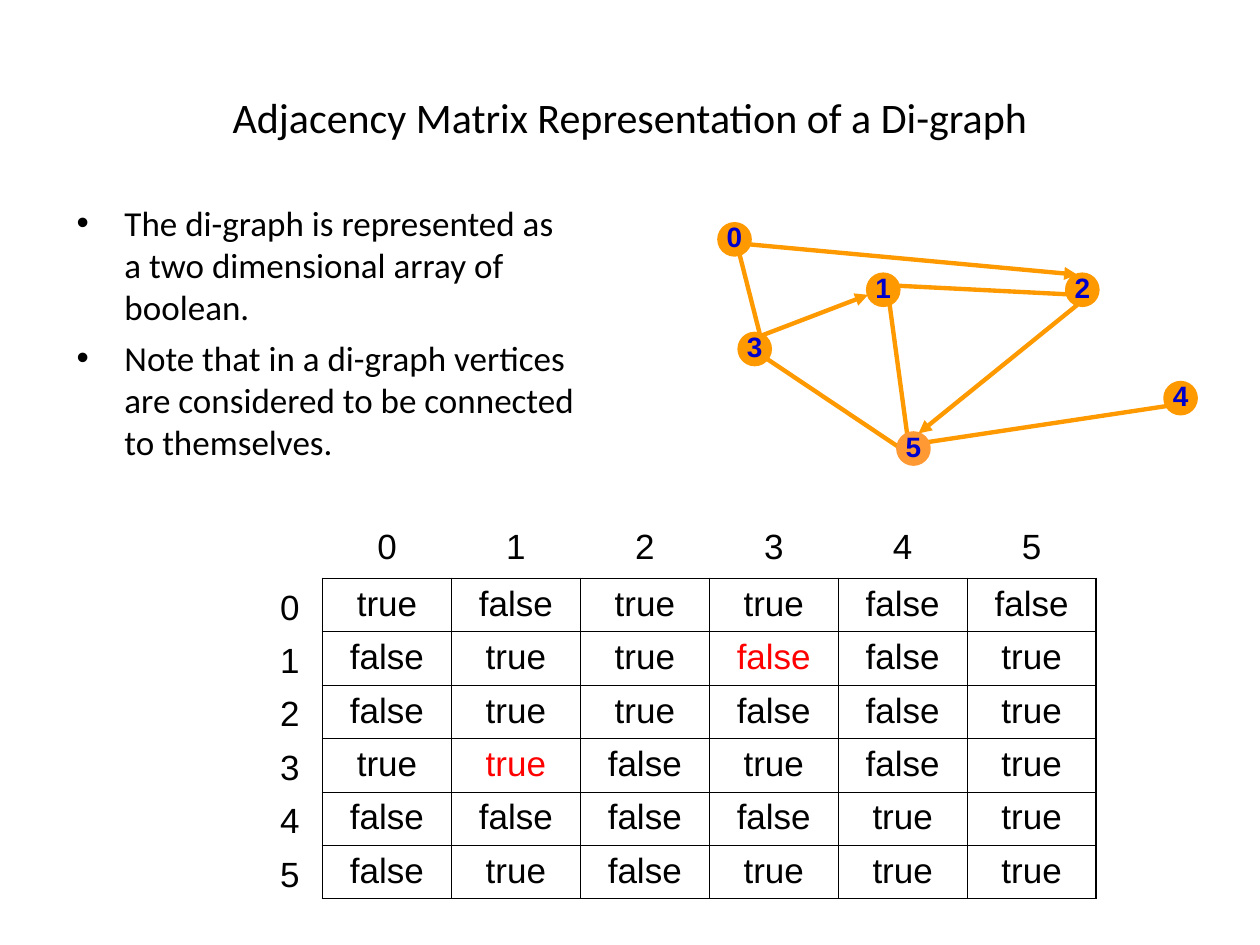
from pptx import Presentation
from pptx.dml.color import RGBColor
from pptx.enum.shapes import MSO_CONNECTOR, MSO_SHAPE
from pptx.enum.text import MSO_ANCHOR, PP_ALIGN
from pptx.oxml import parse_xml
from pptx.oxml.ns import nsdecls, qn
from pptx.util import Inches, Pt
from lxml.etree import SubElement

THEME = {
    "black": "000000", "red": "FF0000", "label": "0000CC",
    "orange": "FF9900", "light_orange": "FF9933",
    "heading_font": "Calibri", "data_font": "Arial",
    "title_size": 24, "body_size": 20, "node_size": 16,
    "edge_width": 2.5, "outer_border": 1.08, "inner_border": 0.45,
}

TITLE = "Adjacency Matrix Representation of a Di-graph"
BULLETS = [
    "The di-graph is represented as a two dimensional array of boolean.",
    "Note that in a di-graph vertices are considered to be connected to themselves.",
]
VERTICES = ["0", "1", "2", "3", "4", "5"]
MATRIX = [
    ["true", "false", "true", "true", "false", "false"],
    ["false", "true", "true", "false", "false", "true"],
    ["false", "true", "true", "false", "false", "true"],
    ["true", "true", "false", "true", "false", "true"],
    ["false", "false", "false", "false", "true", "true"],
    ["false", "true", "false", "true", "true", "true"],
]
HIGHLIGHTED = {(1, 3), (3, 1)}

NODE_SIZE = 0.24
NODES = {  # vertex: left, top, colour
    "3": (5.87, 2.65, "orange"),
    "1": (6.89, 2.18, "orange"),
    "4": (9.25, 3.04, "orange"),
    "2": (8.47, 2.18, "orange"),
    "5": (7.13, 3.44, "light_orange"),
    "0": (5.71, 1.78, "orange"),
}
# start vertex, its anchor, end vertex, its anchor, directed;
# an anchor counts thirds of the node from its top left corner
EDGES_BEHIND = [
    ("2", (1, 3), "5", (2, 0), True),
    ("3", (2, 2), "5", (1, 2), False),
    ("1", (2, 2), "5", (1, 1), False),
    ("5", (2, 1), "4", (2, 2), False),
    ("1", (1, 1), "2", (1, 2), False),
    ("3", (0, 1), "1", (0, 2), True),
]
EDGES_IN_FRONT = [
    ("0", (3, 2), "2", (1, 0), True),
    ("0", (2, 3), "3", (2, 0), False),
]

COLUMN_WIDTH, ROW_HEIGHT = 6.14 / 6, 0.33


def color(name):
    return RGBColor.from_string(THEME[name])


def write(paragraph, text, size="body_size", font="data_font", fill="black",
          bold=False, align=PP_ALIGN.CENTER, line_spacing=None, space_before=None):
    paragraph.alignment = align
    paragraph.line_spacing = line_spacing
    if space_before is not None:
        paragraph.space_before = Pt(space_before)
    run = paragraph.add_run()
    run.text = text
    run.font.size = Pt(THEME[size])
    run.font.name = THEME[font]
    run.font.bold = bold
    run.font.color.rgb = color(fill)


def add_text_frame(slide, left, top, width, height):
    frame = slide.shapes.add_textbox(*map(Inches, (left, top, width, height))).text_frame
    frame.word_wrap = True
    return frame


def add_title(slide):
    frame = add_text_frame(slide, 0.5, 0.3, 9, 1.25)
    frame.vertical_anchor = MSO_ANCHOR.MIDDLE
    write(frame.paragraphs[0], TITLE, size="title_size", font="heading_font")


def add_bullets(slide):
    frame = add_text_frame(slide, 0.51, 1.55, 4.17, 2.99)
    for index, text in enumerate(BULLETS):
        paragraph = frame.add_paragraph() if index else frame.paragraphs[0]
        write(paragraph, text, font="heading_font", align=PP_ALIGN.LEFT, space_before=5)
        properties = paragraph._p.get_or_add_pPr()
        properties.set("marL", str(Inches(0.38)))
        properties.set("indent", str(Inches(-0.38)))
        SubElement(properties, qn("a:buFont")).set("typeface", "Arial")
        SubElement(properties, qn("a:buChar")).set("char", "•")


def anchor_point(vertex, thirds):
    return [Inches(corner + NODE_SIZE * third / 3)
            for corner, third in zip(NODES[vertex][:2], thirds)]


def add_edge(slide, start, start_anchor, end, end_anchor, directed):
    edge = slide.shapes.add_connector(
        MSO_CONNECTOR.STRAIGHT, *anchor_point(start, start_anchor), *anchor_point(end, end_anchor))
    edge.line.color.rgb = color("orange")
    edge.line.width = Pt(THEME["edge_width"])
    if directed:
        SubElement(edge.line._get_or_add_ln(), qn("a:tailEnd")).set("type", "triangle")
    SubElement(edge._element.spPr, qn("a:effectLst"))


def add_node(slide, vertex, left, top, fill):
    node = slide.shapes.add_shape(
        MSO_SHAPE.OVAL, *map(Inches, (left, top, NODE_SIZE, NODE_SIZE)))
    node.shadow.inherit = False
    node.fill.solid()
    node.fill.fore_color.rgb = node.line.color.rgb = color(fill)
    node.line.width = Pt(THEME["edge_width"])
    frame = node.text_frame
    frame.margin_left = frame.margin_right = frame.margin_top = frame.margin_bottom = 0
    frame.word_wrap = False
    frame.vertical_anchor = MSO_ANCHOR.MIDDLE
    write(frame.paragraphs[0], vertex, size="node_size", fill="label", bold=True,
          line_spacing=0.85)


def set_borders(cell, outer_sides):
    """Draw all four borders, with a heavier line on the outer sides."""
    properties = cell._tc.get_or_add_tcPr()
    for index, side in enumerate("LRTB"):
        width = Pt(THEME["outer_border" if side in outer_sides else "inner_border"])
        properties.insert(index, parse_xml(
            f'<a:ln{side} {nsdecls("a")} w="{int(width)}"><a:solidFill>'
            f'<a:srgbClr val="{THEME["black"]}"/></a:solidFill></a:ln{side}>'))


def add_grid(slide, rows, left, top, column_width, row_height,
             highlighted=(), bordered=False):
    row_count, column_count = len(rows), len(rows[0])
    table = slide.shapes.add_table(
        row_count, column_count, Inches(left), Inches(top),
        Inches(column_width * column_count), Inches(row_height * row_count)).table
    table.first_row = table.horz_banding = False
    # The built-in "No Style, No Grid" table style
    table._tbl.tblPr.find(qn("a:tableStyleId")).text = "{2D5ABB26-0587-4C30-8999-92F81FD0307C}"
    for r, row in enumerate(rows):
        for c, value in enumerate(row):
            cell = table.cell(r, c)
            cell.fill.background()
            cell.margin_top, cell.margin_bottom = Inches(0.05), Inches(0.04)
            write(cell.text_frame.paragraphs[0], value,
                  fill="red" if (r, c) in highlighted else "black")
            if bordered:
                on_edge = {"L": c == 0, "R": c == column_count - 1,
                           "T": r == 0, "B": r == row_count - 1}
                set_borders(cell, [side for side, outer in on_edge.items() if outer])


def main():
    presentation = Presentation()
    presentation.slide_width, presentation.slide_height = Inches(10), Inches(7.5)
    slide = presentation.slides.add_slide(presentation.slide_layouts[6])
    add_title(slide)
    add_bullets(slide)
    for edge in EDGES_BEHIND:
        add_edge(slide, *edge)
    for vertex, place in NODES.items():
        add_node(slide, vertex, *place)
    for edge in EDGES_IN_FRONT:
        add_edge(slide, *edge)
    add_grid(slide, MATRIX, 2.56, 4.59, COLUMN_WIDTH, ROW_HEIGHT,
             highlighted=HIGHLIGHTED, bordered=True)
    add_grid(slide, [[vertex] for vertex in VERTICES], 2.09, 4.62, 0.42, ROW_HEIGHT)
    add_grid(slide, [VERTICES], 2.56, 4.14, COLUMN_WIDTH, 0.43)
    presentation.save("out.pptx")


if __name__ == "__main__":
    main()
